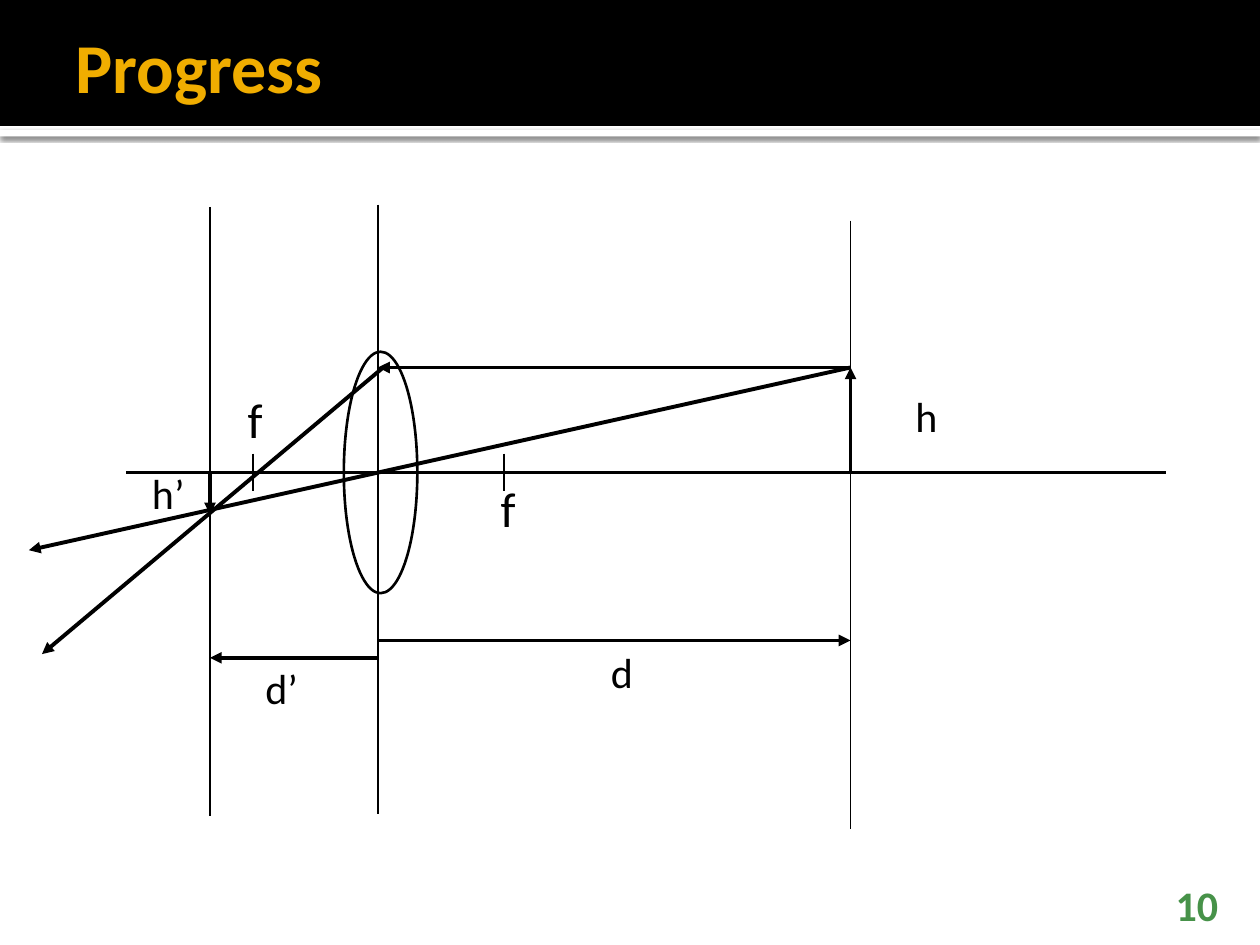
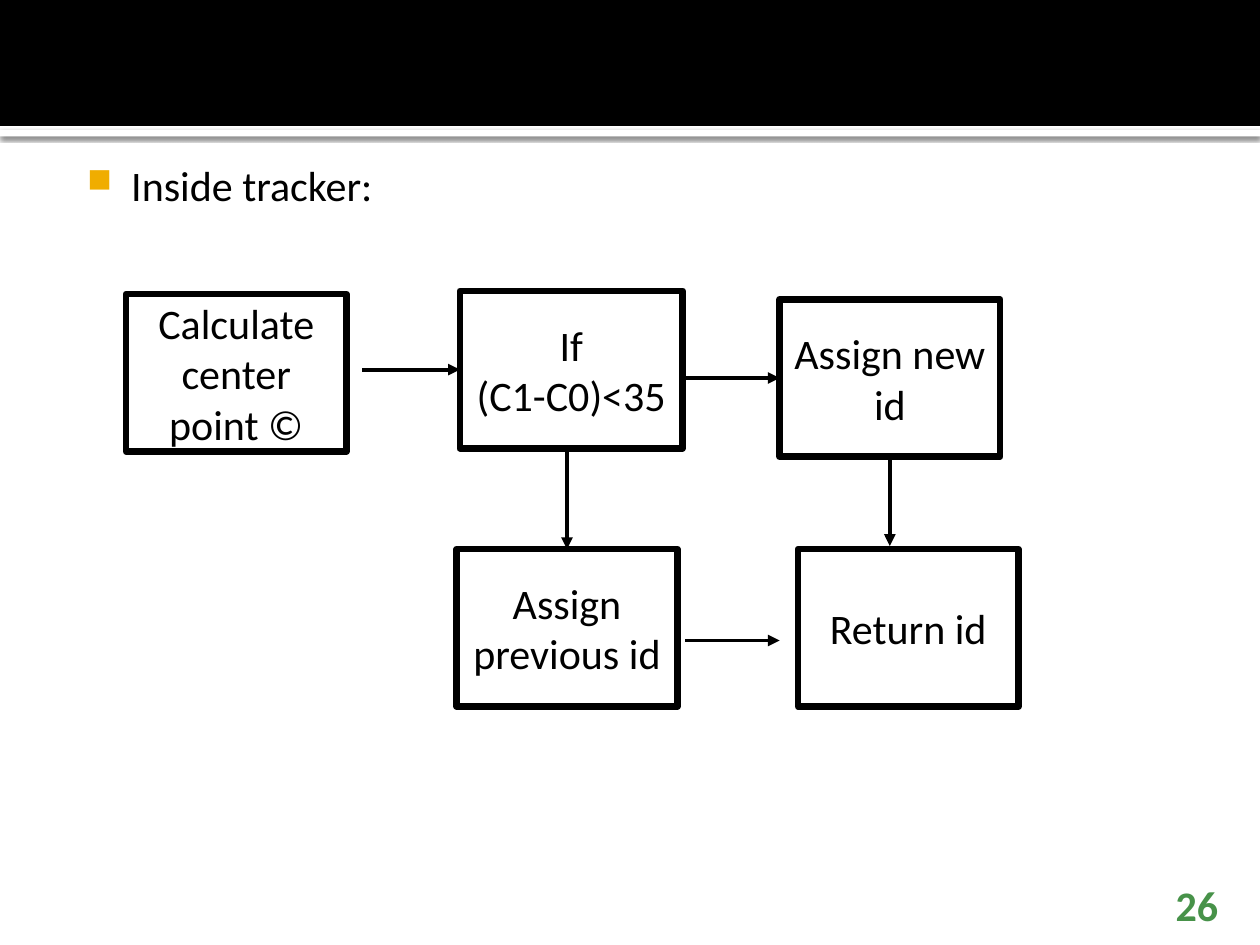
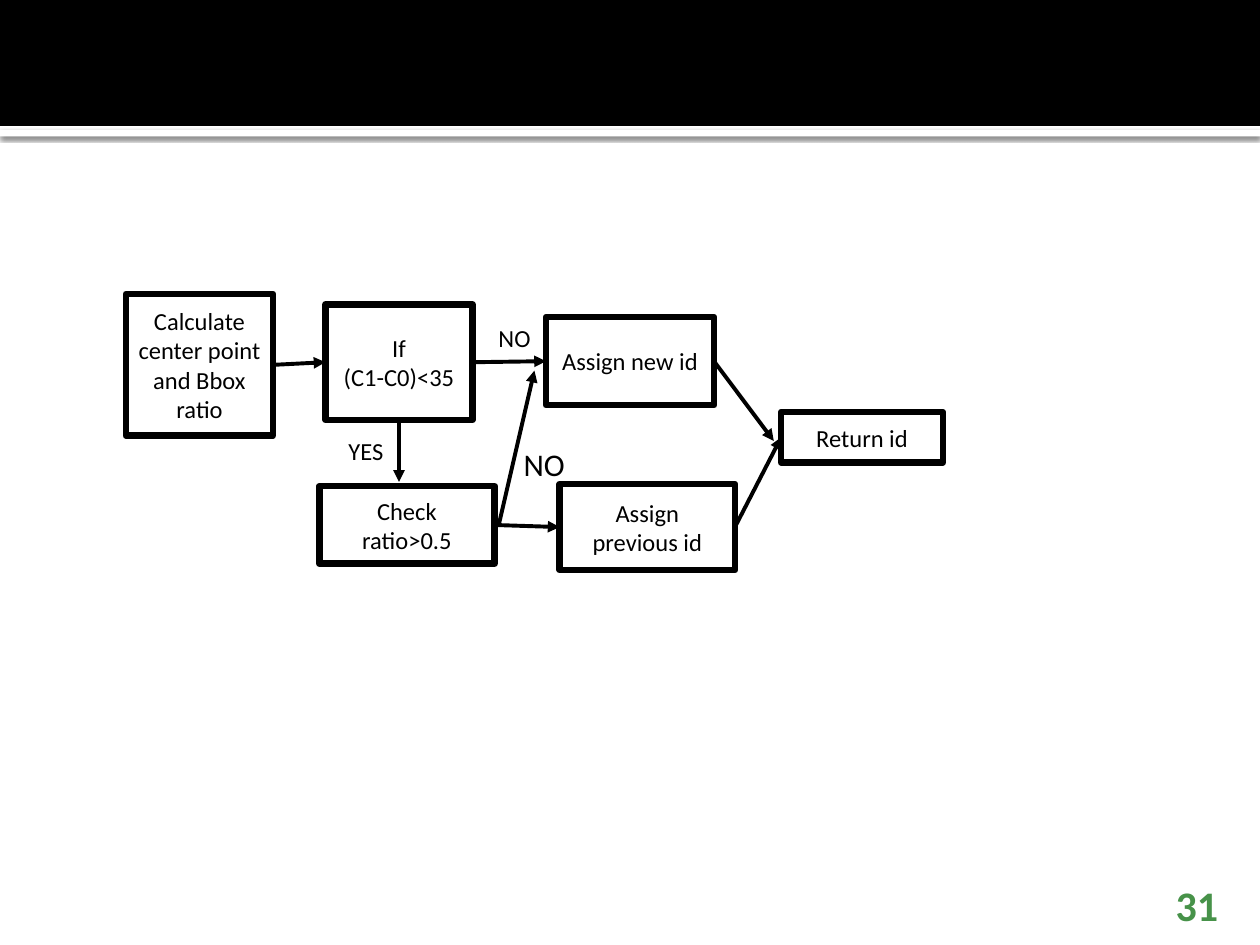
from dataclasses import dataclass

from lxml.etree import SubElement
from pptx import Presentation
from pptx.dml.color import RGBColor
from pptx.enum.shapes import MSO_CONNECTOR as Connector, MSO_SHAPE as Shape
from pptx.enum.text import MSO_ANCHOR as Anchor, MSO_AUTO_SIZE as AutoSize, PP_ALIGN as Align
from pptx.oxml.ns import qn
from pptx.util import Inches, Pt

COLUMNS, ROWS = 120, 90
TOP, LEFT, BOTTOM, RIGHT = range(4)


@dataclass(frozen=True)
class Theme:
    font: str = "Calibri"
    ink: str = "000000"
    paper: str = "FFFFFF"
    accent: str = "F0AD00"
    number: str = "479249"
    title_size: int = 40
    focus_size: int = 28
    body_size: int = 24
    branch_size: int = 18
    small_size: int = 14
    box_line: float = 3.78
    arrow_line: float = 2.25
    outline: float = 1.5
    guide_line: float = 0.75


class Deck:
    def __init__(self, theme):
        self.theme = theme
        self.presentation = Presentation()
        self.presentation.slide_width = Inches(10)
        self.presentation.slide_height = Inches(7.5)
        self.slide = None

    def across(self, columns):
        return round(self.presentation.slide_width * columns / COLUMNS)

    def down(self, rows):
        return round(self.presentation.slide_height * rows / ROWS)

    def place(self, left, top, width, height):
        return self.across(left), self.down(top), self.across(width), self.down(height)

    def new_slide(self, number, title=None):
        self.slide = self.presentation.slides.add_slide(self.presentation.slide_layouts[6])
        rule = self.shape(Shape.RECTANGLE, (0, 12.4, COLUMNS, 0.6), fill=self.theme.paper)
        self.drop_shadow(rule)
        self.shape(Shape.RECTANGLE, (0, 0, COLUMNS, 12), fill=self.theme.ink)
        if title:
            self.text(title, (6, 1, 108, 10.4), self.theme.title_size, self.theme.accent,
                      bold=True, anchor=Anchor.MIDDLE, insets=(1.2, 0.6, 0.6, 0.6))
        self.text(str(number), (107.6, 85, 9.6, 3.6), self.theme.body_size, self.theme.number,
                  bold=True, align=Align.RIGHT, anchor=Anchor.BOTTOM, insets=(1.2, 0.6, 1.2, 0))

    def shape(self, kind, area, fill=None, line=None):
        shape = self.slide.shapes.add_shape(kind, *self.place(*area))
        shape.shadow.inherit = False
        if fill:
            shape.fill.solid()
            shape.fill.fore_color.rgb = RGBColor.from_string(fill)
        else:
            shape.fill.background()
        if line:
            shape.line.color.rgb = RGBColor.from_string(self.theme.ink)
            shape.line.width = Pt(line)
        else:
            shape.line.fill.background()
        return shape

    def drop_shadow(self, shape):
        effects = shape._element.spPr.find(qn("a:effectLst"))
        shadow = SubElement(effects, qn("a:outerShdw"), blurRad=str(Pt(2.5)),
                            dist=str(Pt(0.8)), dir="5400000", rotWithShape="0")
        color = SubElement(shadow, qn("a:srgbClr"), val=self.theme.ink)
        SubElement(color, qn("a:alpha"), val="60000")

    def add_bullet(self, paragraph):
        properties = paragraph._p.get_or_add_pPr()
        properties.set("marL", str(self.across(5.8)))
        properties.set("indent", str(-self.across(4.2)))
        color = SubElement(properties, qn("a:buClr"))
        SubElement(color, qn("a:srgbClr"), val=self.theme.accent)
        SubElement(properties, qn("a:buSzPct"), val="80000")
        SubElement(properties, qn("a:buChar"), char="■")

    def set_text(self, frame, text, size, color, bold=False, align=Align.LEFT, bullet=False):
        frame.word_wrap = True
        frame.text = text
        for paragraph in frame.paragraphs:
            if bullet:
                self.add_bullet(paragraph)
            paragraph.alignment = align
            paragraph.font.name = self.theme.font
            paragraph.font.size = Pt(size)
            paragraph.font.bold = bold
            paragraph.font.color.rgb = RGBColor.from_string(color)

    def text(self, text, area, size, color, bold=False, align=Align.LEFT,
             anchor=Anchor.TOP, insets=(1.2, 0.6, 1.2, 0.6), bullet=False):
        frame = self.slide.shapes.add_textbox(*self.place(*area)).text_frame
        frame.margin_left, frame.margin_right = map(self.across, insets[::2])
        frame.margin_top, frame.margin_bottom = map(self.down, insets[1::2])
        frame.vertical_anchor = anchor
        self.set_text(frame, text, size, color, bold, align, bullet)
        return frame

    def label(self, text, area, size):
        self.text(text, area, size, self.theme.ink).auto_size = AutoSize.SHAPE_TO_FIT_TEXT

    def bullet(self, text, area):
        self.text(text, area, self.theme.body_size, self.theme.ink,
                  insets=(0.7, 1.2, 1.2, 0.6), bullet=True)

    def box(self, text, area, size):
        shape = self.shape(Shape.RECTANGLE, area, self.theme.paper, self.theme.box_line)
        shape.text_frame.vertical_anchor = Anchor.MIDDLE
        self.set_text(shape.text_frame, text, size, self.theme.ink, align=Align.CENTER)
        return shape

    def line(self, start, end, width):
        connector = self.slide.shapes.add_connector(Connector.STRAIGHT, 0, 0, 0, 0)
        if isinstance(start[0], (int, float)):
            connector.begin_x, connector.begin_y = self.across(start[0]), self.down(start[1])
        else:
            connector.begin_connect(*start)
        if isinstance(end[0], (int, float)):
            connector.end_x, connector.end_y = self.across(end[0]), self.down(end[1])
        else:
            connector.end_connect(*end)
        connector.line.color.rgb = RGBColor.from_string(self.theme.ink)
        connector.line.width = Pt(width)
        SubElement(connector._element.spPr, qn("a:effectLst"))
        return connector

    def arrow(self, start, end):
        connector = self.line(start, end, self.theme.arrow_line)
        outline = connector._element.spPr.find(qn("a:ln"))
        SubElement(outline, qn("a:tailEnd"), type="triangle")


def lens_slide(deck):
    theme = deck.theme
    deck.new_slide(10, "Progress")
    image, lens, target, axis, ray = 20, 36, 81, 45, 35
    deck.shape(Shape.OVAL, (32.75, 33.5, 7, 23), line=theme.outline)
    deck.line((12, axis), (111, axis), theme.arrow_line)
    for start, end in (
        ((target, axis), (target, ray)),
        ((target, ray), (lens, ray)),
        ((lens + 0.5, ray), (4, 62.3)),
        ((target, ray), (2.75, 52.4)),
        ((image, axis), (image, 49)),
        ((lens, 61), (target, 61)),
        ((lens, 62.65), (image, 62.65)),
    ):
        deck.arrow(start, end)
    for column, top in ((lens, 19.5), (target, 21), (image, 19.7)):
        deck.line((column, top), (column, top + 58), theme.guide_line)
    for column in (24.1, 48):
        deck.line((column, axis - 1.8), (column, axis + 1.8), theme.outline)
    for left, top in ((22.4, 36.5), (46.5, axis)):
        deck.label("f", (left, top, 5, 6.8), theme.focus_size)
    for text, left, top in (("h", 86, 36.6), ("h’", 13.3, 43.9),
                            ("d’", 24.1, 62.5), ("d", 57, 61)):
        deck.label(text, (left, top, 5.8, 6), theme.body_size)


def tracker_slide(deck):
    deck.new_slide(26)
    deck.bullet("Inside tracker:", (6, 14, 108, 72))

    def step(text, left, top, width=21):
        return deck.box(text, (left, top, width, 15), deck.theme.body_size)

    step("Calculate center point ©", 12, 28)
    compare = step("If\n(C1-C0)<35", 43.8, 27.7, 21.2)
    previous = step("Assign previous id", 43.5, 52.3)
    new = step("Assign new id", 74.25, 28.5)
    step("Return id", 76, 52.3)
    for start, end in (
        ((34.5, 35.2), (compare, LEFT)),
        ((65, 36), (new, LEFT)),
        ((54, 43), (previous, TOP)),
        ((new, BOTTOM), (84.75, 52)),
        ((65.25, 61), (74.25, 61)),
    ):
        deck.arrow(start, end)


def ratio_slide(deck):
    theme = deck.theme
    deck.new_slide(31)
    center, compare, previous, new, result, check = (
        deck.box(text, area, theme.small_size) for text, area in (
            ("Calculate center point and Bbox ratio", (12, 28, 14, 13.5)),
            ("If\n(C1-C0)<35", (31, 29, 14, 11)),
            ("Assign previous id", (53.3, 46.1, 16.7, 8.2)),
            ("Assign new id", (52, 30.2, 16, 8.4)),
            ("Return id", (74.4, 39.25, 15.4, 4.8)),
            ("Check ratio>0.5", (30.4, 46.3, 16.7, 7.4)),
        ))
    for start, end in (
        ((center, RIGHT), (compare, LEFT)),
        ((compare, RIGHT), (new, LEFT)),
        ((compare, BOTTOM), (38, 45.9)),
        ((check, RIGHT), (previous, LEFT)),
        ((47.5, 50), (50.9, 35.3)),
        ((new, RIGHT), (73.7, 42)),
        ((previous, RIGHT), (result, LEFT)),
    ):
        deck.arrow(start, end)
    deck.label("NO", (46.3, 30.2, 6.7, 4), theme.small_size)
    deck.label("YES", (32, 40.9, 6.7, 4), theme.small_size)
    deck.label("NO", (48.7, 41.8, 12, 4.8), theme.branch_size)


def main():
    deck = Deck(Theme())
    for build in (lens_slide, tracker_slide, ratio_slide):
        build(deck)
    deck.presentation.save("out.pptx")


if __name__ == "__main__":
    main()
